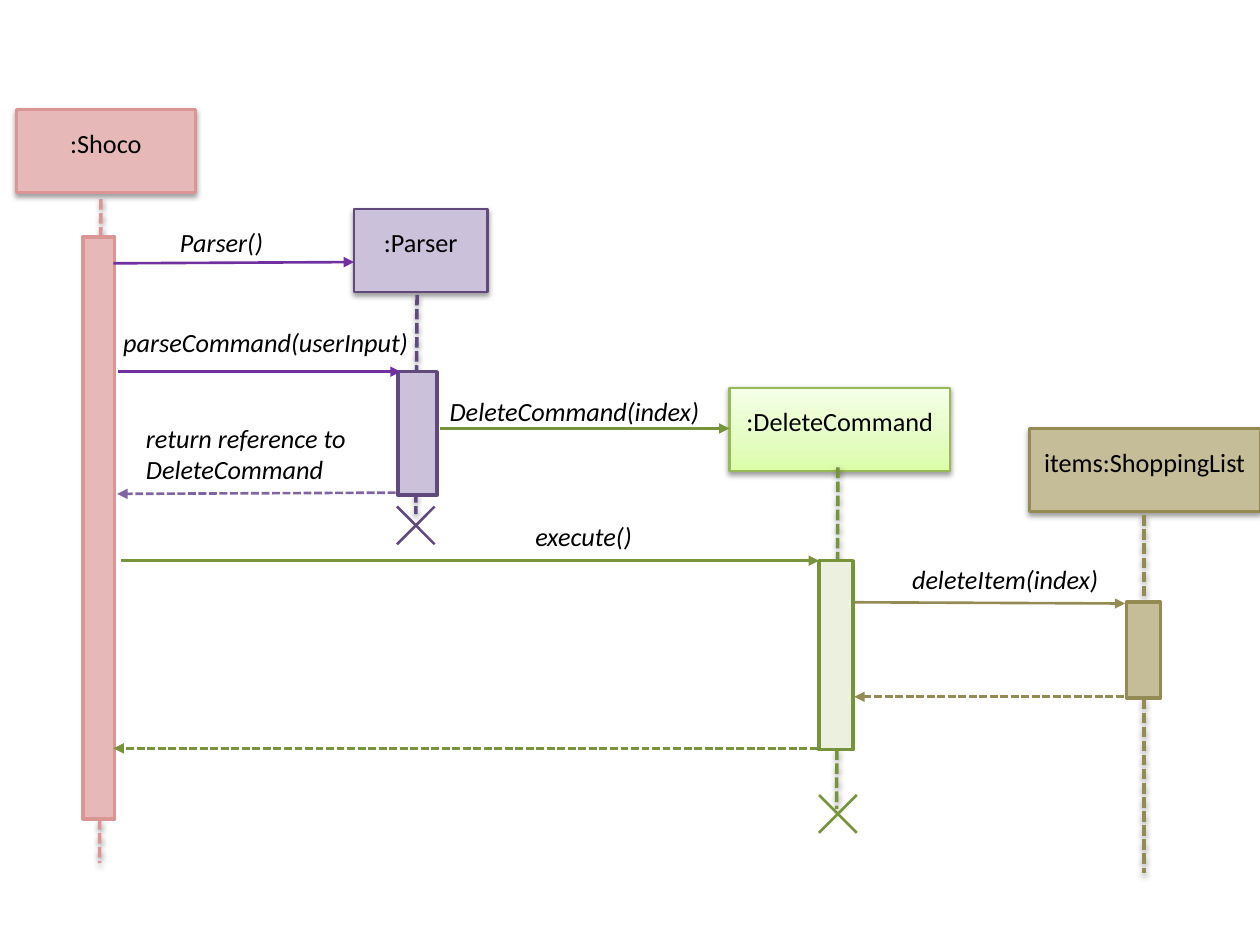
from copy import deepcopy
from dataclasses import dataclass
from typing import Optional

from lxml.etree import SubElement
from pptx import Presentation
from pptx.dml.color import RGBColor
from pptx.enum.dml import MSO_LINE
from pptx.enum.shapes import MSO_CONNECTOR, MSO_SHAPE
from pptx.enum.text import MSO_ANCHOR, PP_ALIGN
from pptx.oxml.ns import qn
from pptx.util import Inches, Pt

BLACK = RGBColor(0x00, 0x00, 0x00)
ROSE = RGBColor(0xE6, 0xB9, 0xB8)
ROSE_EDGE = RGBColor(0xD9, 0x96, 0x94)
LILAC = RGBColor(0xCC, 0xC1, 0xDA)
LILAC_EDGE = RGBColor(0x60, 0x4A, 0x7B)
VIOLET = RGBColor(0x70, 0x30, 0xA0)
MAUVE = RGBColor(0x80, 0x64, 0xA2)
MINT = RGBColor(0xEB, 0xF1, 0xDE)
GREEN = RGBColor(0x77, 0x93, 0x3C)
LIME_EDGE = RGBColor(0x98, 0xB9, 0x55)
LIME_STOPS = (
    (0.0, RGBColor(0xDA, 0xFD, 0xA7)),
    (0.35, RGBColor(0xE4, 0xFC, 0xC2)),
    (1.0, RGBColor(0xF5, 0xFF, 0xE7)),
)
SAND = RGBColor(0xC4, 0xBD, 0x97)
SAND_EDGE = RGBColor(0x94, 0x8A, 0x54)

HEAD_HEIGHT = 0.66
THIN, THICK = 1.5, 2
Point = tuple[float, float]


@dataclass
class Participant:
    name: str
    left: float
    top: float
    width: float
    fill: Optional[RGBColor]
    head_edge: RGBColor
    lifeline: tuple[Point, Point]
    bar: tuple[float, float, float, float]
    bar_fill: RGBColor
    edge: RGBColor
    end_cross: Optional[Point] = None


@dataclass
class Message:
    start: Point
    end: Point
    color: RGBColor
    reply: bool = False


@dataclass
class Label:
    text: str
    left: float
    top: float
    width: float
    height: float = 0.35


PARTICIPANTS = [
    Participant(":Shoco", 0.13, 0.87, 1.42, ROSE, ROSE_EDGE,
                ((0.8, 1.58), (0.79, 6.85)), (0.66, 1.88, 0.25, 4.62), ROSE, ROSE_EDGE),
    Participant(":Parser", 2.81, 1.66, 1.06, LILAC, LILAC_EDGE,
                ((3.31, 2.34), (3.3, 4.08)), (3.16, 2.95, 0.31, 0.98), LILAC, LILAC_EDGE,
                (3.3, 4.17)),
    Participant(":DeleteCommand", 5.79, 3.08, 1.75, None, LIME_EDGE,
                ((6.65, 3.71), (6.64, 6.42)), (6.5, 4.45, 0.27, 1.5), MINT, GREEN,
                (6.65, 6.46)),
    Participant("items:ShoppingList", 8.17, 3.4, 1.83, SAND, SAND_EDGE,
                ((9.08, 4.09), (9.08, 6.93)), (8.94, 4.78, 0.27, 0.76), SAND, SAND_EDGE),
]

MESSAGES = [
    Message((0.9, 2.09), (2.81, 2.08), VIOLET),
    Message((0.94, 2.95), (3.18, 2.95), VIOLET),
    Message((3.49, 3.4), (5.79, 3.4), GREEN),
    Message((3.14, 3.91), (0.93, 3.92), MAUVE, reply=True),
    Message((0.96, 4.45), (6.5, 4.45), GREEN),
    Message((6.78, 4.78), (8.93, 4.79), SAND_EDGE),
    Message((8.92, 5.53), (6.78, 5.53), SAND_EDGE, reply=True),
    Message((6.49, 5.94), (0.9, 5.94), GREEN, reply=True),
]

LABELS = [
    Label("Parser()", 1.33, 1.75, 1.29),
    Label("parseCommand(userInput)", 0.88, 2.54, 2.73),
    Label("DeleteCommand(index)", 3.47, 3.09, 2.28),
    Label("return reference to DeleteCommand", 1.06, 3.3, 1.87, 0.61),
    Label("execute()", 4.15, 4.08, 1.1),
    Label("deleteItem(index)", 7.14, 4.42, 1.73),
]

prs = Presentation()
prs.slide_width, prs.slide_height = Inches(10), Inches(7.5)
slide = prs.slides.add_slide(prs.slide_layouts[6])


def set_effects(shape, shadow: bool) -> None:
    effects = SubElement(shape._element.spPr, qn("a:effectLst"))
    if shadow:
        outer = SubElement(effects, qn("a:outerShdw"), blurRad="40000", dist="20000",
                           dir="5400000", rotWithShape="0")
        black = SubElement(outer, qn("a:srgbClr"), val="000000")
        SubElement(black, qn("a:alpha"), val="38000")


def write(frame, text: str, *, italic: bool = False, align=PP_ALIGN.LEFT,
          inset_top: float = 0.05) -> None:
    frame.word_wrap = True
    frame.vertical_anchor = MSO_ANCHOR.TOP
    frame.margin_left = frame.margin_right = Inches(0.1)
    frame.margin_top = Inches(inset_top)
    frame.margin_bottom = Inches(0.05)
    paragraph = frame.paragraphs[0]
    paragraph.alignment = align
    run = paragraph.add_run()
    run.text = text
    run.font.name, run.font.size = "Calibri", Pt(15)
    run.font.italic = italic
    run.font.color.rgb = BLACK


def draw_line(start: Point, end: Point, color: RGBColor, width: float = THIN, *,
              dashed: bool = False, arrow: bool = False, shadow: bool = False) -> None:
    line = slide.shapes.add_connector(MSO_CONNECTOR.STRAIGHT, *map(Inches, start + end))
    line.line.color.rgb = color
    line.line.width = Pt(width)
    if dashed:
        line.line.dash_style = MSO_LINE.SQUARE_DOT
    if arrow:
        SubElement(line.line._get_or_add_ln(), qn("a:tailEnd"), type="triangle")
    set_effects(line, shadow)


def fill_gradient(shape) -> None:
    shape.fill.gradient()
    shape.fill.gradient_angle = 90
    stop_list = shape._element.spPr.find(".//" + qn("a:gsLst"))
    stop_list.append(deepcopy(stop_list[-1]))
    for stop, (position, color) in zip(shape.fill.gradient_stops, LIME_STOPS):
        stop.position = position
        stop.color.rgb = color


def draw_box(left: float, top: float, width: float, height: float,
             fill: Optional[RGBColor], edge: RGBColor, edge_width: float,
             shadow: bool = False):
    box = slide.shapes.add_shape(MSO_SHAPE.RECTANGLE,
                                 *map(Inches, (left, top, width, height)))
    if fill is None:
        fill_gradient(box)
    else:
        box.fill.solid()
        box.fill.fore_color.rgb = fill
    box.line.color.rgb = edge
    box.line.width = Pt(edge_width)
    set_effects(box, shadow)
    return box


def draw_participant(who: Participant) -> None:
    head = draw_box(who.left, who.top, who.width, HEAD_HEIGHT, who.fill,
                    who.head_edge, THIN, shadow=True)
    write(head.text_frame, who.name, align=PP_ALIGN.CENTER, inset_top=0.14)
    draw_line(*who.lifeline, who.edge, THICK, dashed=True, shadow=True)
    draw_box(*who.bar, who.bar_fill, who.edge, THICK)
    if who.end_cross:
        x, y = who.end_cross
        reach = 0.15
        for slope in (reach, -reach):
            draw_line((x - reach, y - slope), (x + reach, y + slope), who.edge)


for participant in PARTICIPANTS:
    draw_participant(participant)
for message in MESSAGES:
    draw_line(message.start, message.end, message.color, dashed=message.reply, arrow=True)
for label in LABELS:
    caption = slide.shapes.add_textbox(
        *map(Inches, (label.left, label.top, label.width, label.height)))
    write(caption.text_frame, label.text, italic=True)

prs.save("out.pptx")
